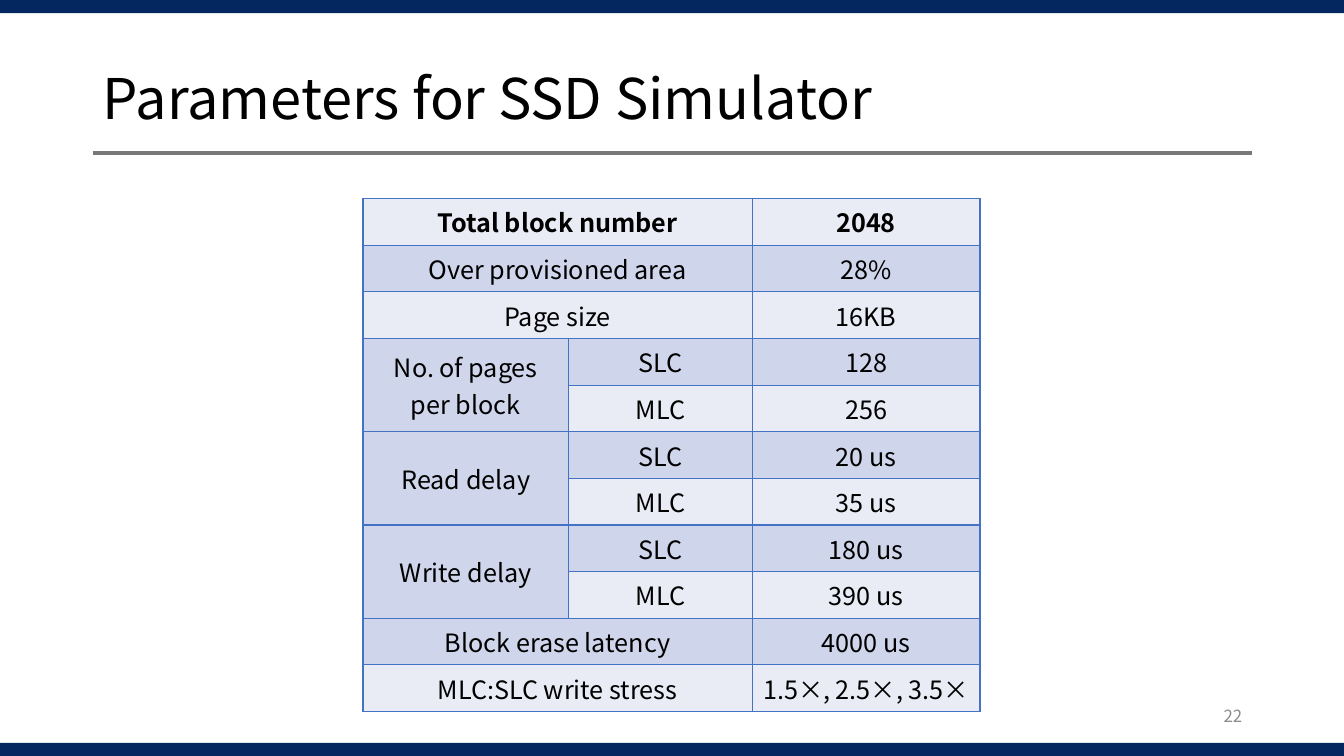
import pptx
import pptx.util
import pptx.dml.color
import pptx.enum.shapes
import pptx.enum.text
import pptx.oxml.ns
from lxml import etree

Inches = pptx.util.Inches
Align = pptx.enum.text.PP_ALIGN
Anchor = pptx.enum.text.MSO_ANCHOR

# Content: (parameter, variant, value); no variant spans two columns,
# no parameter continues the group above
TITLE = "Parameters for SSD Simulator"
PAGE_NUMBER = "22"
PARAMETERS = [
    ("Total block number", None, "2048"),
    ("Over provisioned area", None, "28%"),
    ("Page size", None, "16KB"),
    ("No. of pages per block", "SLC", "128"),
    (None, "MLC", "256"),
    ("Read delay", "SLC", "20 us"),
    (None, "MLC", "35 us"),
    ("Write delay", "SLC", "180 us"),
    (None, "MLC", "390 us"),
    ("Block erase latency", None, "4000 us"),
    ("MLC:SLC write stress", None, "1.5×, 2.5×, 3.5×"),
]

# Style
FONT = "Noto Sans CJK KR"
COLORS = {
    "bar": "03275E", "rule": "797778", "text": "000000", "number": "8C8C8C",
    "border": "4472C4", "light": "E9EBF5", "dark": "CFD5EA",
}
WIDTH, HEIGHT, BAR_HEIGHT = 13.33, 7.5, 0.13
COLUMN_WIDTHS = [2.04, 1.82, 2.26]
TABLE_HEIGHT = 5.09


def rgb(name):
    return pptx.dml.color.RGBColor.from_string(COLORS[name])


def add_element(parent, tag, **attributes):
    return etree.SubElement(parent, pptx.oxml.ns.qn(tag), **attributes)


def write(frame, text, size, color="text", align=Align.LEFT, bold=False):
    frame.text = text
    frame.word_wrap = True
    para = frame.paragraphs[0]
    para.alignment = align
    font = para.font
    font.name, font.size, font.bold = FONT, pptx.util.Pt(size), bold
    font.color.rgb = rgb(color)
    add_element(font._element, "a:ea", typeface=FONT)
    return para


def style_cell(cell, shade):
    cell.vertical_anchor = Anchor.MIDDLE
    properties = cell._tc.get_or_add_tcPr()
    for side in ("a:lnL", "a:lnR", "a:lnT", "a:lnB"):
        line = add_element(properties, side, w=str(pptx.util.Pt(1)))
        solid = add_element(line, "a:solidFill")
        add_element(solid, "a:srgbClr", val=COLORS["border"])
    cell.fill.solid()
    cell.fill.fore_color.rgb = rgb(shade)


deck = pptx.Presentation()
deck.slide_width, deck.slide_height = Inches(WIDTH), Inches(HEIGHT)
page = deck.slides.add_slide(deck.slide_layouts[5])

# Bars at the top and bottom edges
for top in (0, HEIGHT - BAR_HEIGHT):
    bar = page.shapes.add_shape(
        pptx.enum.shapes.MSO_SHAPE.RECTANGLE,
        0, Inches(top), Inches(WIDTH), Inches(BAR_HEIGHT))
    bar.shadow.inherit = False
    bar.fill.solid()
    bar.fill.fore_color.rgb = rgb("bar")
    bar.line.fill.background()

# Title and the rule below it
title = page.shapes.title
title.left, title.top = Inches(0.92), Inches(0.52)
title.width, title.height = Inches(11.5), Inches(0.98)
title.text_frame.vertical_anchor = Anchor.MIDDLE
write(title.text_frame, TITLE, 40).line_spacing = 0.9

rule = page.shapes.add_connector(
    pptx.enum.shapes.MSO_CONNECTOR.STRAIGHT,
    Inches(0.92), Inches(1.52), Inches(12.42), Inches(1.52))
rule.line.color.rgb = rgb("rule")
rule.line.width = pptx.util.Pt(3)
add_element(rule._element.spPr, "a:effectLst")

# Page number
number = page.shapes.add_textbox(Inches(9.42), Inches(6.9), Inches(3), Inches(0.4))
number.text_frame.vertical_anchor = Anchor.MIDDLE
write(number.text_frame, PAGE_NUMBER, 12, "number", Align.RIGHT)

# Parameter table
table = page.shapes.add_table(
    len(PARAMETERS), len(COLUMN_WIDTHS), Inches(3.6), Inches(1.97),
    Inches(sum(COLUMN_WIDTHS)), Inches(TABLE_HEIGHT)).table
table.first_row = table.horz_banding = False
for column, width in zip(table.columns, COLUMN_WIDTHS):
    column.width = Inches(width)

for index, entry in enumerate(PARAMETERS):
    table.rows[index].height = Inches(TABLE_HEIGHT / len(PARAMETERS))
    shade = "dark" if index % 2 else "light"
    for position, text in enumerate(entry):
        cell = table.cell(index, position)
        style_cell(cell, shade)
        if text:
            write(cell.text_frame, text, 18, align=Align.CENTER, bold=index == 0)
    parameter, variant, value = entry
    if variant is None:
        table.cell(index, 0).merge(table.cell(index, 1))
    elif parameter is None:
        table.cell(index - 1, 0).merge(table.cell(index, 0))

deck.save("out.pptx")
